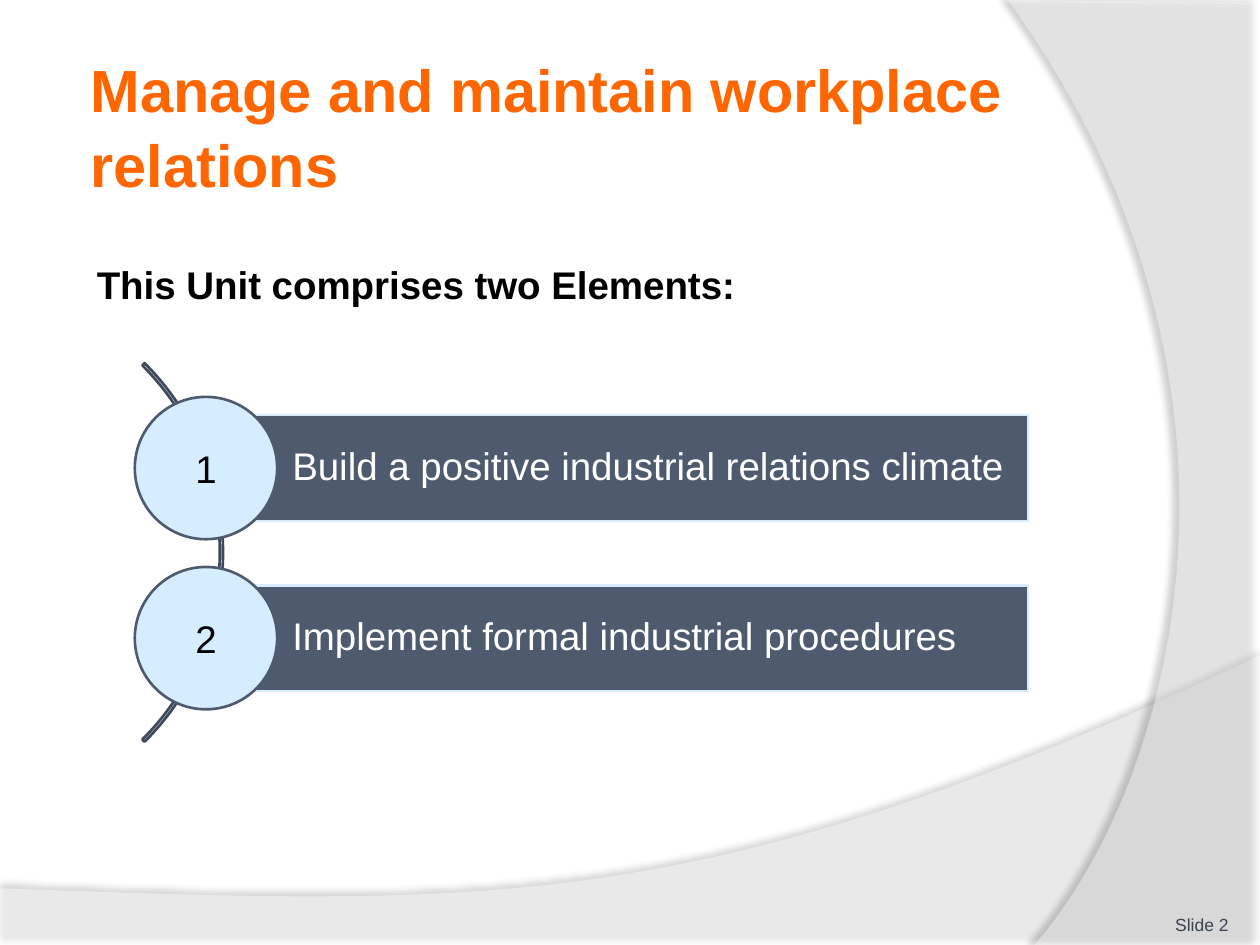
from dataclasses import dataclass

from lxml import etree
from pptx import Presentation
from pptx.dml.color import RGBColor
from pptx.enum.shapes import MSO_SHAPE
from pptx.enum.text import MSO_ANCHOR, PP_ALIGN
from pptx.oxml.ns import qn
from pptx.util import Inches, Pt

LEFT, CENTER, RIGHT = PP_ALIGN.LEFT, PP_ALIGN.CENTER, PP_ALIGN.RIGHT
TOP, MIDDLE, BOTTOM = MSO_ANCHOR.TOP, MSO_ANCHOR.MIDDLE, MSO_ANCHOR.BOTTOM
RECTANGLE, OVAL, BLOCK_ARC = MSO_SHAPE.RECTANGLE, MSO_SHAPE.OVAL, MSO_SHAPE.BLOCK_ARC

WHITE = RGBColor(0xFF, 0xFF, 0xFF)
BLACK = RGBColor(0, 0, 0)
ORANGE = RGBColor(0xFF, 0x66, 0x00)
SLATE = RGBColor(0x4E, 0x5B, 0x6F)
DARK_SLATE = RGBColor(0x3E, 0x49, 0x59)
FOOTER_SLATE = RGBColor(0x3A, 0x43, 0x52)
PALE_BLUE = RGBColor(0xD6, 0xEC, 0xFF)

FONT = "Arial"
CURVE_STEPS = 60
FIRST_CIRCLE_TOP, ROW_PITCH = 3.15, 1.35
CIRCLE_SIZE, BAR_HEIGHT = 1.13, 0.84


@dataclass
class Style:
    size: float
    color: RGBColor
    bold: bool = False
    align: PP_ALIGN = LEFT
    anchor: MSO_ANCHOR = TOP
    insets: tuple = (0.1, 0.05, 0.1, 0.05)
    line_spacing: float = 1.0


@dataclass
class Wave:
    points: list
    opacity: int
    shadow_opacity: int
    shadow_distance: float
    shadow_angle: int


def bezier(start: tuple, first: tuple, second: tuple, end: tuple) -> list:
    """Points along a cubic curve, without its start."""
    points = []
    for step in range(1, CURVE_STEPS + 1):
        t = step / CURVE_STEPS
        weights = ((1 - t) ** 3, 3 * t * (1 - t) ** 2, 3 * t * t * (1 - t), t ** 3)
        points.append(tuple(
            sum(w * p for w, p in zip(weights, axis))
            for axis in zip(start, first, second, end)))
    return points


def draw_wave(page, wave: Wave) -> None:
    corners = [(Inches(x), Inches(y)) for x, y in wave.points]
    builder = page.shapes.build_freeform(*corners[0], scale=1.0)
    builder.add_line_segments(corners[1:], close=True)
    shape = builder.convert_to_shape()
    shape.fill.solid()
    shape.fill.fore_color.rgb = WHITE
    shape.line.fill.background()
    properties = shape.element.spPr
    fill_color = properties.find(qn("a:solidFill")).find(qn("a:srgbClr"))
    etree.SubElement(fill_color, qn("a:alpha"), val=str(wave.opacity * 1000))
    effects = etree.SubElement(properties, qn("a:effectLst"))
    shadow = etree.SubElement(
        effects, qn("a:outerShdw"), blurRad=str(Pt(4)),
        dist=str(Pt(wave.shadow_distance)), dir=str(wave.shadow_angle * 60000),
        algn="ctr", rotWithShape="0")
    shadow_color = etree.SubElement(shadow, qn("a:srgbClr"), val="000000")
    etree.SubElement(shadow_color, qn("a:alpha"), val=str(wave.shadow_opacity * 1000))


def write(shape, text: str, style: Style) -> None:
    frame = shape.text_frame
    frame.text = text
    frame.word_wrap = True
    frame.vertical_anchor = style.anchor
    (frame.margin_left, frame.margin_top,
     frame.margin_right, frame.margin_bottom) = map(Inches, style.insets)
    para = frame.paragraphs[0]
    para.alignment = style.align
    para.line_spacing = style.line_spacing
    font = para.runs[0].font
    font.name, font.size, font.bold = FONT, Pt(style.size), style.bold
    font.color.rgb = style.color


def add_text(page, text: str, place: tuple, style: Style) -> None:
    write(page.shapes.add_textbox(*map(Inches, place)), text, style)


def add_figure(page, kind: MSO_SHAPE, place: tuple, line: RGBColor,
               fill: RGBColor | None = None):
    shape = page.shapes.add_shape(kind, *map(Inches, place))
    shape.shadow.inherit = False
    if fill is None:
        shape.fill.background()
    else:
        shape.fill.solid()
        shape.fill.fore_color.rgb = fill
    shape.line.color.rgb = line
    shape.line.width = Pt(1.5)
    return shape


TITLE = Style(34, ORANGE, bold=True, anchor=MIDDLE, insets=(0.05,) * 4,
              line_spacing=1.05)
INTRO = Style(22, BLACK, bold=True)
FOOTER = Style(10, FOOTER_SLATE, align=RIGHT, anchor=BOTTOM, insets=(0,) * 4)
BAR = Style(22, WHITE, anchor=MIDDLE, insets=(0.71, 0.06, 0.06, 0.06),
            line_spacing=0.9)
NUMBER = Style(22, BLACK, align=CENTER)

WAVES = [
    Wave([(0, 7.05), (0, 7.51), (10, 7.51), (10, 5.2)]
         + bezier((10, 5.2), (5.59, 7.29), (3.91, 7.19), (0, 7.05)),
         45, 35, 3.5, 270),
    Wave([(10, 0.02), (10, 7.5), (8.21, 7.5)]
         + bezier((8.21, 7.5), (9.35, 6.19), (10.18, 3), (8, 0)),
         40, 45, 4, 180),
]
ELEMENTS = [
    "Build a positive industrial relations climate",
    "Implement formal industrial procedures",
]


def main() -> None:
    deck = Presentation()
    deck.slide_width, deck.slide_height = Inches(10), Inches(7.5)
    page = deck.slides.add_slide(deck.slide_layouts[6])

    # Background waves
    for wave in WAVES:
        draw_wave(page, wave)

    # Title, introduction and slide number
    add_text(page, "Manage and maintain workplace relations",
             (0.67, 0.36, 8.17, 1.25), TITLE)
    add_text(page, "This Unit comprises two Elements:",
             (0.67, 2.02, 8.17, 4.63), INTRO)
    add_text(page, "Slide 2", (8.92, 7.02, 0.83, 0.4), FOOTER)

    # Arc behind the numbered elements
    arc = add_figure(page, BLOCK_ARC, (-2.48, 2.26, 4.25, 4.25), DARK_SLATE)
    for index, value in enumerate((189, 27, 0.006)):
        arc.adjustments[index] = value

    # Numbered elements
    for index, text in enumerate(ELEMENTS):
        top = FIRST_CIRCLE_TOP + index * ROW_PITCH
        bar_top = top + (CIRCLE_SIZE - BAR_HEIGHT) / 2
        bar = add_figure(page, RECTANGLE, (1.61, bar_top, 6.55, BAR_HEIGHT),
                         PALE_BLUE, SLATE)
        write(bar, text, BAR)
        add_figure(page, OVAL, (1.07, top, CIRCLE_SIZE, CIRCLE_SIZE),
                   SLATE, PALE_BLUE)
        add_text(page, str(index + 1), (1.24, top + 0.33, 0.79, 0.47), NUMBER)

    deck.save("out.pptx")


if __name__ == "__main__":
    main()
